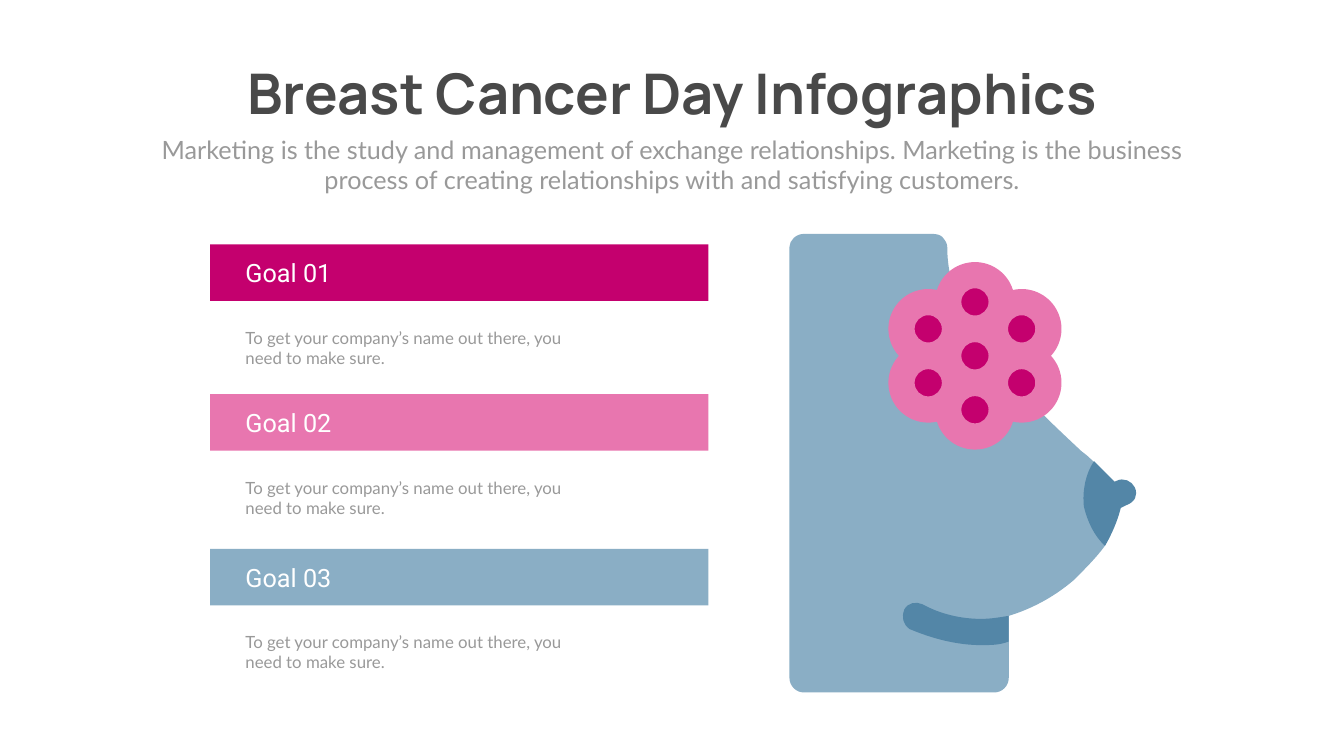
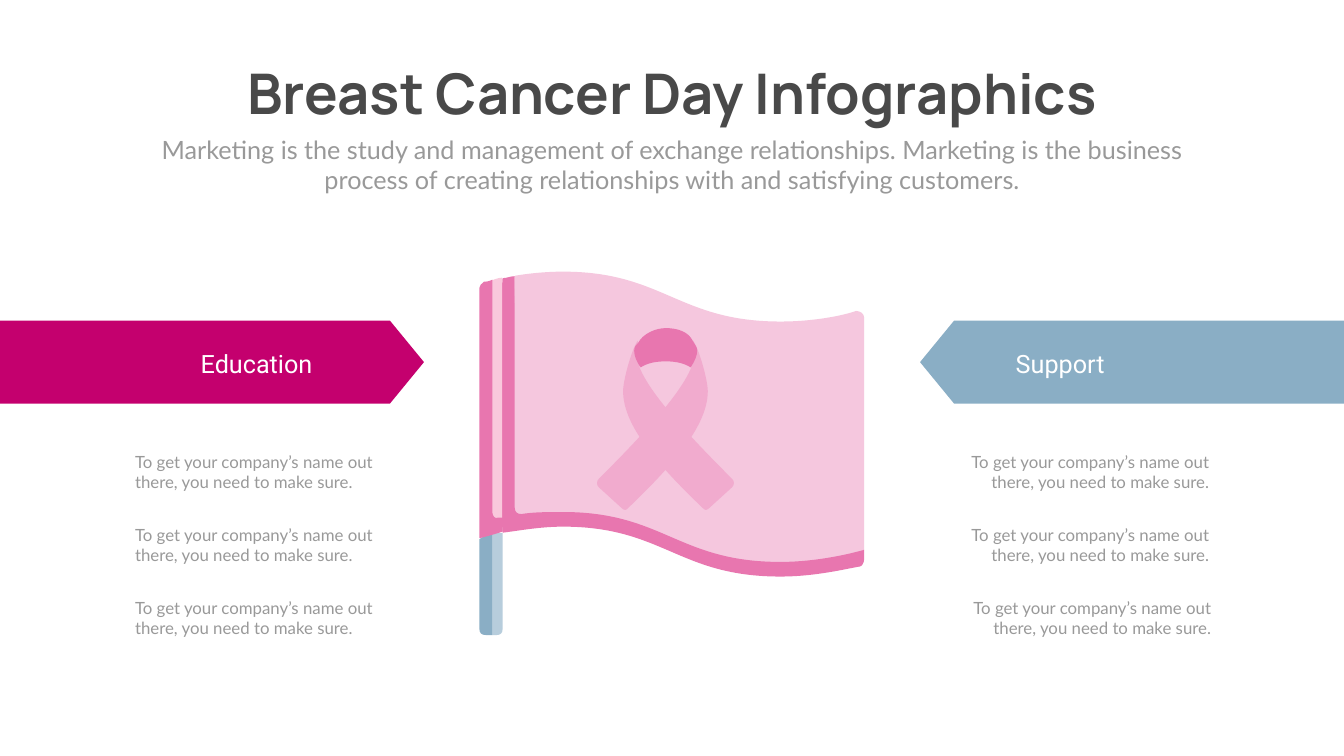
from dataclasses import dataclass
from math import acos, cos, pi, radians, sin, tan

from lxml.etree import SubElement
from pptx import Presentation
from pptx.dml.color import RGBColor
from pptx.enum.shapes import MSO_SHAPE
from pptx.enum.text import MSO_ANCHOR, MSO_AUTO_SIZE, PP_ALIGN
from pptx.oxml.ns import qn
from pptx.shapes.autoshape import Shape
from pptx.slide import Slide
from pptx.util import Pt

PX = 9144  # EMU per px, 100 px to the inch
SLIDE_WIDTH, SLIDE_HEIGHT = 2666, 1500

MAGENTA = RGBColor(0xC4, 0x00, 0x6E)
PINK = RGBColor(0xE8, 0x76, 0xAF)
RIBBON_PINK = RGBColor(0xF1, 0xAB, 0xCE)
FLAG_PINK = RGBColor(0xF5, 0xC7, 0xDE)
STRIPE_PINK = RGBColor(0xF9, 0xC8, 0xDC)
BLUE = RGBColor(0x8A, 0xAE, 0xC5)
DEEP_BLUE = RGBColor(0x53, 0x86, 0xA7)
PALE_BLUE = RGBColor(0xB7, 0xCD, 0xDC)
DARK = RGBColor(0x49, 0x49, 0x49)
GREY = RGBColor(0x99, 0x99, 0x99)
WHITE = RGBColor(0xFF, 0xFF, 0xFF)

TITLE = "Breast Cancer Day Infographics"
SUBTITLE = ("Marketing is the study and management of exchange relationships. "
            "Marketing is the business process of creating relationships with "
            "and satisfying customers.")
NOTE = "To get your company’s name out there, you need to make sure."

Point = tuple[float, float]
Box = tuple[int, int, int, int]
# A step of two numbers is a line, a step of six is a Bezier curve
Steps = tuple[tuple[float, ...], ...]


@dataclass(frozen=True)
class Outline:
    fill: RGBColor
    steps: Steps


@dataclass(frozen=True)
class Goal:
    label: str
    top: int
    fill: RGBColor


@dataclass(frozen=True)
class Side:
    label: str
    arrow_left: int
    rotation: int
    fill: RGBColor
    label_left: int
    note_spans: tuple[tuple[int, int], ...]  # left and width of each note
    align: PP_ALIGN


GOALS = (
    Goal("Goal 01", 485, MAGENTA),
    Goal("Goal 02", 782, PINK),
    Goal("Goal 03", 1089, BLUE),
)

SIDES = (
    Side("Education", -3, 0, MAGENTA, 346,
         ((258, 528), (258, 528), (258, 553)), PP_ALIGN.LEFT),
    Side("Support", 1825, 180, BLUE, 1940,
         ((1880, 528), (1880, 528), (1859, 553)), PP_ALIGN.RIGHT),
)

TORSO = (
    Outline(BLUE, (
        (1972, 1374), (1595, 1374), (1579, 1374, 1566, 1361, 1566, 1345),
        (1566, 490), (1566, 477, 1579, 464, 1595, 464), (1849, 464),
        (1859, 464, 1866, 467, 1869, 470), (1875, 477, 1879, 483, 1879, 490),
        (1879, 642, 2008, 767, 2146, 896), (2156, 903, 2162, 909, 2169, 916),
        (2185, 932, 2211, 1051, 2191, 1084),
        (2175, 1106, 2152, 1129, 2130, 1151),
        (2088, 1187, 2043, 1209, 2001, 1222), (2001, 1345),
        (2001, 1361, 1988, 1374, 1972, 1374))),
    Outline(DEEP_BLUE, (
        (2218, 963), (2170, 915), (2153, 941, 2147, 973, 2150, 1005),
        (2157, 1034, 2170, 1063, 2192, 1083),
        (2211, 1050, 2224, 1015, 2227, 986),
        (2227, 976, 2224, 970, 2218, 963))),
    Outline(DEEP_BLUE, (
        (2001, 1222), (1982, 1225, 1966, 1228, 1946, 1228),
        (1908, 1228, 1866, 1219, 1830, 1199),
        (1817, 1193, 1801, 1196, 1794, 1209),
        (1788, 1225, 1791, 1238, 1804, 1248),
        (1849, 1267, 1898, 1280, 1946, 1280),
        (1966, 1280, 1982, 1280, 2001, 1273))),
    Outline(DEEP_BLUE, (
        (2205, 1012), (2196, 1012, 2186, 1009, 2179, 996),
        (2176, 983, 2183, 967, 2196, 963), (2215, 954),
        (2228, 947, 2245, 954, 2251, 967), (2258, 983, 2251, 996, 2235, 1002),
        (2215, 1012), (2212, 1012, 2209, 1012, 2205, 1012))),
)

FLAG = (
    # Pole
    Outline(PALE_BLUE, (
        (967, 1058), (976, 1260), (985, 1260),
        (993, 1260, 997, 1256, 997, 1248), (997, 1058))),
    Outline(BLUE, (
        (951, 1070), (951, 1248), (951, 1256, 955, 1260, 964, 1260),
        (976, 1260), (976, 1062), (968, 1058))),
    # Cloth and its border
    Outline(FLAG_PINK, (
        (1117, 539), (1080, 539, 1047, 543, 1022, 547), (1005, 1036),
        (1034, 1032, 1080, 1028, 1117, 1028),
        (1316, 1028, 1345, 1132, 1548, 1132),
        (1635, 1132, 1714, 1091, 1714, 1091), (1714, 630),
        (1714, 622, 1706, 617, 1698, 617), (1673, 626, 1615, 638, 1548, 638),
        (1345, 638, 1316, 539, 1117, 539))),
    Outline(PINK, (
        (1117, 1016), (1088, 1016, 1059, 1016, 1034, 1020),
        (1026, 1020, 1021, 1016, 1021, 1007), (1021, 548),
        (1013, 548, 1005, 552, 997, 552), (980, 776), (997, 1057),
        (1030, 1053, 1071, 1045, 1117, 1045),
        (1316, 1045, 1345, 1144, 1548, 1144),
        (1619, 1144, 1681, 1128, 1706, 1124),
        (1710, 1124, 1714, 1115, 1714, 1111), (1714, 1091),
        (1714, 1091, 1635, 1115, 1548, 1115),
        (1345, 1115, 1316, 1016, 1117, 1016))),
    # Sleeve
    Outline(STRIPE_PINK, (
        (975, 556), (959, 1048), (996, 1028), (996, 551),
        (987, 551, 979, 556, 975, 556))),
    Outline(PINK, (
        (977, 555), (968, 559, 964, 559, 960, 559),
        (955, 563, 951, 567, 951, 571), (951, 1068),
        (951, 1068, 968, 1064, 997, 1055), (997, 1027),
        (993, 1027, 993, 1027, 989, 1027),
        (981, 1031, 977, 1022, 977, 1018))),
)

RIBBON_AXIS = 1320
RIBBON_TAIL = Outline(RIBBON_PINK, (
    (1233, 1008), (1238, 1013, 1242, 1013, 1246, 1008),
    (1341, 917, 1404, 842, 1404, 776), (1404, 755, 1387, 693, 1375, 676),
    (1371, 730), (1350, 780, 1287, 851, 1188, 950),
    (1183, 954, 1183, 963, 1188, 967)))
RIBBON_LOOP = Outline(PINK, (
    (1374, 676), (1378, 684, 1383, 688, 1383, 696),
    (1383, 705, 1378, 717, 1370, 729), (1358, 721, 1341, 717, 1321, 717),
    (1299, 717, 1283, 721, 1271, 729), (1262, 717, 1258, 705, 1258, 696),
    (1258, 688, 1262, 684, 1266, 680), (1275, 663, 1299, 651, 1321, 651),
    (1345, 651, 1366, 659, 1374, 676)))


def style_shape(shape: Shape, fill: RGBColor) -> None:
    shape.shadow.inherit = False
    shape.fill.solid()
    shape.fill.fore_color.rgb = fill
    shape.line.fill.background()


def write(shape: Shape, text: str, *, font: str, size: int, color: RGBColor,
          bold: bool = False, align: PP_ALIGN = PP_ALIGN.LEFT) -> None:
    frame = shape.text_frame
    frame.text = text
    frame.word_wrap = True
    frame.auto_size = MSO_AUTO_SIZE.SHAPE_TO_FIT_TEXT
    frame.vertical_anchor = MSO_ANCHOR.TOP
    paragraph = frame.paragraphs[0]
    paragraph.alignment = align
    run_font = paragraph.runs[0].font
    run_font.name, run_font.size, run_font.bold = font, Pt(size), bold
    run_font.color.rgb = color


def add_text(slide: Slide, text: str, box: Box, *, font: str = "Lato",
             size: int = 24, color: RGBColor = GREY,
             align: PP_ALIGN = PP_ALIGN.LEFT) -> None:
    textbox = slide.shapes.add_textbox(*(n * PX for n in box))
    write(textbox, text, font=font, size=size, color=color, align=align)


def add_label(slide: Slide, text: str, left: int, top: int,
              align: PP_ALIGN = PP_ALIGN.LEFT) -> None:
    add_text(slide, text, (left, top, 326, 71), font="Roboto", size=36,
             color=WHITE, align=align)


def add_block(slide: Slide, kind: MSO_SHAPE, box: Box, fill: RGBColor) -> Shape:
    block = slide.shapes.add_shape(kind, *(n * PX for n in box))
    style_shape(block, fill)
    return block


def add_freeform(slide: Slide, fill: RGBColor, *contours: Steps) -> None:
    """Draw every point as a line, then join the points of each curve."""
    builder = slide.shapes.build_freeform(*(n * PX for n in contours[0][0]), scale=1.0)
    for i, (start, *steps) in enumerate(contours):
        if i:
            builder.move_to(*(n * PX for n in start))
        builder.add_line_segments(
            [(step[n] * PX, step[n + 1] * PX)
             for step in steps for n in range(0, len(step), 2)], close=True)
    freeform = builder.convert_to_shape()
    style_shape(freeform, fill)

    outline = next(freeform.element.iter(qn("a:path")))
    lines = iter(outline.findall(qn("a:lnTo")))
    for step in (step for contour in contours for step in contour[1:]):
        first = next(lines)
        if len(step) == 6:
            curve = SubElement(outline, qn("a:cubicBezTo"))
            first.addprevious(curve)
            for line in (first, next(lines), next(lines)):
                curve.append(line[0])
                outline.remove(line)


def arc(center: Point, radius: float, start: float, end: float,
        pieces: int) -> Steps:
    turn = (end - start) / pieces
    reach = 4 / 3 * tan(turn / 4)

    def at(angle: float, pull: float = 0) -> Point:
        return (center[0] + radius * (cos(angle) - pull * sin(angle)),
                center[1] + radius * (sin(angle) + pull * cos(angle)))

    angles = [start + turn * i for i in range(pieces + 1)]
    return (at(start), *(at(a, reach) + at(b, -reach) + at(b)
                         for a, b in zip(angles, angles[1:])))


def circle(center: Point, radius: float) -> Steps:
    return arc(center, radius, 2 * pi, 0, 4)


def add_flower(slide: Slide) -> None:
    """Six petals with round holes that show the disc behind."""
    center, ring, petal_radius, hole_radius = (1934, 706), 107, 79, 27
    spread = radians(120) - acos(ring / 2 / petal_radius)
    add_freeform(slide, MAGENTA, circle((1935, 707), 137))
    petals: list[tuple[float, ...]] = []
    holes = [circle(center, hole_radius)]
    for angle in (radians(degrees) for degrees in range(30, 390, 60)):
        middle = (center[0] + ring * cos(angle), center[1] + ring * sin(angle))
        petal = arc(middle, petal_radius, angle - spread, angle + spread, 2)
        petals += petal[1:] if petals else petal
        holes.append(circle(middle, hole_radius))
    add_freeform(slide, PINK, tuple(petals), *holes)


def add_titled_slide(deck: Presentation) -> Slide:
    slide = deck.slides.add_slide(deck.slide_layouts[5])
    title = slide.shapes.title
    title.left, title.top, title.width, title.height = (
        n * PX for n in (406, 112, 1855, 145))
    write(title, TITLE, font="Manrope", size=80, color=DARK, bold=True,
          align=PP_ALIGN.CENTER)
    add_text(slide, SUBTITLE, (292, 261, 2082, 131), size=36,
             align=PP_ALIGN.CENTER)
    return slide


def build_goals(deck: Presentation) -> None:
    slide = add_titled_slide(deck)
    for part in TORSO:
        add_freeform(slide, part.fill, part.steps)
    add_flower(slide)
    for goal in GOALS:
        add_text(slide, NOTE, (477, goal.top + 160, 683, 91))
        add_block(slide, MSO_SHAPE.RECTANGLE, (417, goal.top, 988, 112), goal.fill)
        add_label(slide, goal.label, 477, goal.top + 21)


def build_flag(deck: Presentation) -> None:
    slide = add_titled_slide(deck)
    mirrored_tail = Outline(RIBBON_PINK, tuple(
        tuple(n if i % 2 else 2 * RIBBON_AXIS - n for i, n in enumerate(step))
        for step in RIBBON_TAIL.steps))
    for part in (*FLAG, RIBBON_TAIL, mirrored_tail, RIBBON_LOOP):
        add_freeform(slide, part.fill, part.steps)
    for side in SIDES:
        arrow = add_block(slide, MSO_SHAPE.PENTAGON,
                          (side.arrow_left, 636, 844, 165), side.fill)
        arrow.adjustments[0] = 0.41
        arrow.rotation = side.rotation
        add_label(slide, side.label, side.label_left, 686, PP_ALIGN.CENTER)
        for row, (left, width) in enumerate(side.note_spans):
            add_text(slide, NOTE, (left, 891 + 145 * row, width, 91),
                     align=side.align)


def main() -> None:
    deck = Presentation()
    deck.slide_width, deck.slide_height = SLIDE_WIDTH * PX, SLIDE_HEIGHT * PX
    build_goals(deck)
    build_flag(deck)
    deck.save("out.pptx")


if __name__ == "__main__":
    main()
